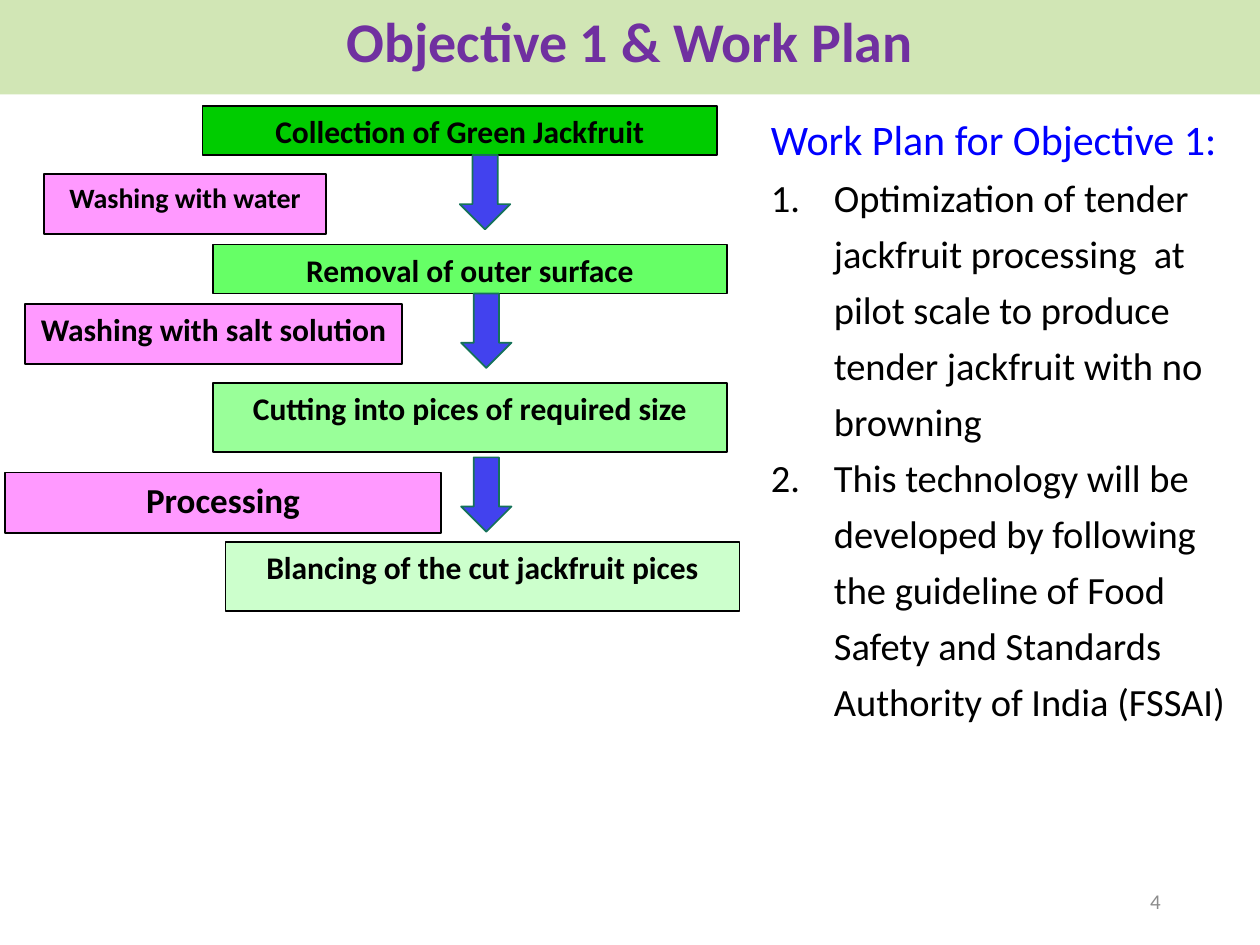
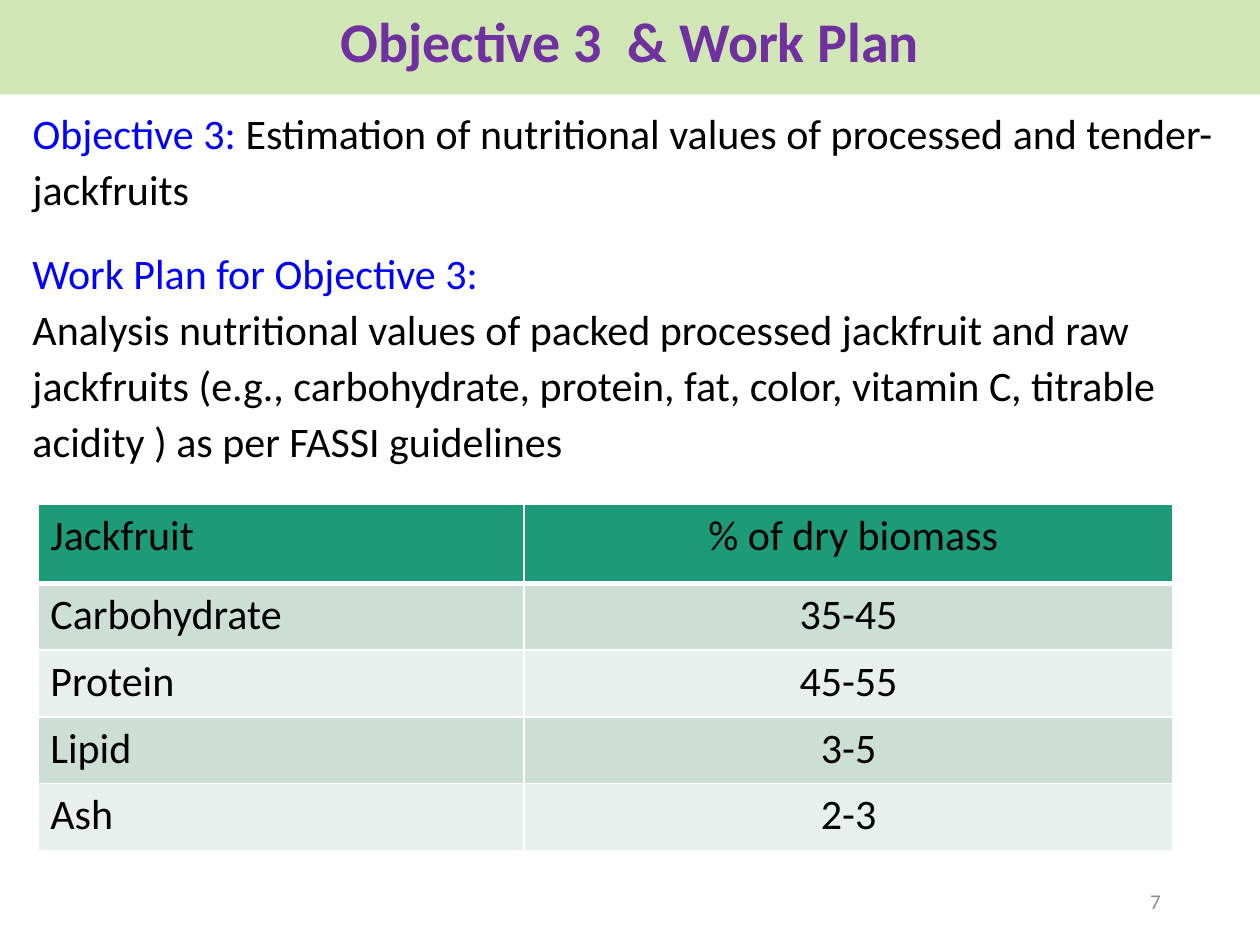
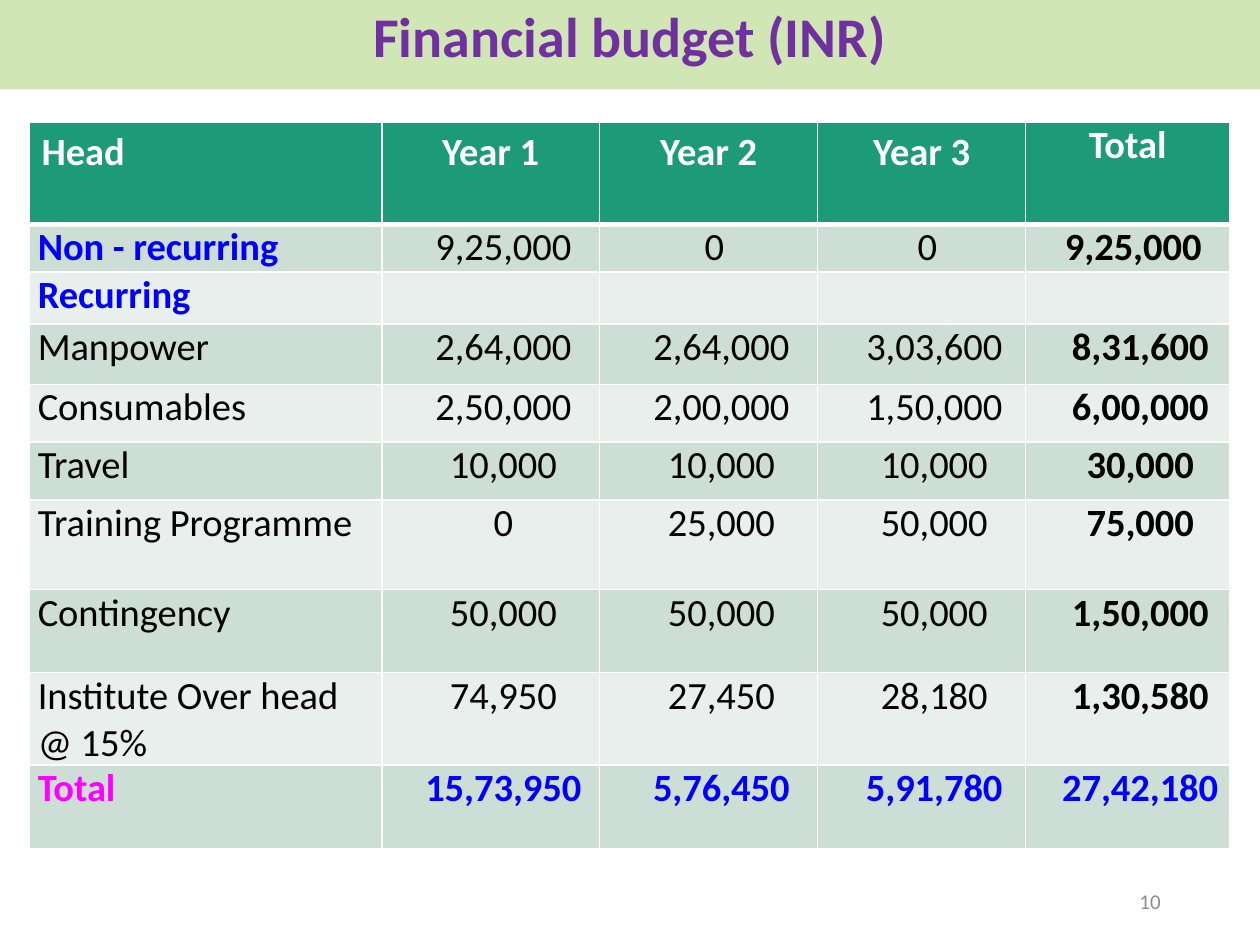
from lxml import etree
from pptx import Presentation
from pptx import util as u
from pptx.dml.color import RGBColor
from pptx.enum import shapes, text
from pptx.oxml.ns import qn

COLORS = {
    "band": "D1E6B5", "title": "7030A0", "number": "8C8C8C", "ink": "000000",
    "blue": "0000FF", "magenta": "FF00FF", "white": "FFFFFF",
    "arrow": "4242EE", "arrow_edge": "157259", "wash": "FF99FF",
    "head": "1D9A78", "odd": "CDDED6", "even": "E8EFEC",
}
FONT = "Calibri"
LEFT, CENTER, RIGHT, JUSTIFY = (
    text.PP_ALIGN.LEFT, text.PP_ALIGN.CENTER, text.PP_ALIGN.RIGHT, text.PP_ALIGN.JUSTIFY)

# Content: flow chart steps as (text, left, top, height, fill)
STEP_WIDTH = 4.08
STEPS = [
    ("Collection of Green Jackfruit", 1.61, 0.84, 0.39, "00CC00"),
    ("Removal of outer surface", 1.69, 1.94, 0.39, "66FF66"),
    ("Cutting into pices of required size", 1.69, 3.04, 0.55, "99FF99"),
    ("Blancing of the cut jackfruit pices", 1.79, 4.3, 0.55, "CCFFCC"),
]
# Side treatments as (text, left, top, width, size)
TREATMENTS = [
    ("Washing with water", 0.35, 1.38, 2.24, 16),
    ("Washing with salt solution", 0.2, 2.41, 2.99, 18),
    ("Processing", 0.04, 3.75, 3.46, 20),
]
ARROWS = [(3.65, 1.23), (3.66, 2.33), (3.66, 3.63)]
PLAN_1 = [
    "Optimization of tender jackfruit processing  at pilot scale to produce "
    "tender jackfruit with no browning",
    "This technology will be developed by following the guideline of Food Safety "
    "and Standards Authority of India (FSSAI)",
]
OBJECTIVE_3 = ("Estimation of nutritional values of processed and "
               "tender-jackfruits")
PLAN_3 = ("Analysis nutritional values of packed processed jackfruit and raw "
          "jackfruits (e.g., carbohydrate, protein, fat, color, vitamin C, "
          "titrable acidity ) as per FASSI guidelines")
NUTRITION = [
    ("Jackfruit", " % of dry biomass"),
    ("Carbohydrate", "35-45"),
    ("Protein", "45-55"),
    ("Lipid", "3-5"),
    ("Ash", "2-3"),
]
BUDGET = [
    ("Head", "Year 1", "Year 2", "Year 3", "Total"),
    ("Non - recurring", "9,25,000", "0", "0", "9,25,000"),
    ("Recurring", "", "", "", ""),
    ("Manpower", "2,64,000", "2,64,000", "3,03,600", "8,31,600"),
    ("Consumables", "2,50,000", "2,00,000", "1,50,000", "6,00,000"),
    ("Travel", "10,000", "10,000", "10,000", "30,000"),
    ("Training Programme", "0", "25,000", "50,000", "75,000"),
    ("Contingency", "50,000", "50,000", "50,000", "1,50,000"),
    ("Institute Over head @ 15%", "74,950", "27,450", "28,180", "1,30,580"),
    ("Total", "15,73,950", "5,76,450", "5,91,780", "27,42,180"),
]
BUDGET_ROWS = [0.81, 0.38, 0.41, 0.48, 0.46, 0.46, 0.71, 0.66, 0.71, 0.66]


def rgb(color):
    return RGBColor.from_string(COLORS.get(color, color))


def inches(*lengths):
    return [u.Inches(length) for length in lengths]


def write(frame, words, size=18, color="ink", bold=False, align=LEFT, spacing=None,
          after=0, indent=0, numbered=False, same_line=False):
    """Add words to the last paragraph if it is empty or same_line, else to a new one."""
    para = frame.paragraphs[-1]
    if para.runs and not same_line:
        para = frame.add_paragraph()
    para.alignment = align
    para.space_after = u.Pt(after)
    if spacing:
        para.line_spacing = spacing
    if indent:
        props = para._p.get_or_add_pPr()
        props.set("marL", str(u.Inches(indent)))
        props.set("indent", str(u.Inches(-indent if numbered else 0)))
        if numbered:
            etree.SubElement(props, qn("a:buAutoNum"), type="arabicPeriod")
    span = para.add_run()
    span.text = words
    span.font.name, span.font.size, span.font.bold = FONT, u.Pt(size), bold
    span.font.color.rgb = rgb(color)


def add_text(page, *place):
    frame = page.shapes.add_textbox(*inches(*place)).text_frame
    frame.word_wrap = True
    return frame


def add_block(page, kind, place, fill, edge="ink", width=1):
    block = page.shapes.add_shape(kind, *inches(*place))
    block.shadow.inherit = False
    block.fill.solid()
    block.fill.fore_color.rgb = rgb(fill)
    block.line.color.rgb = rgb(edge)
    block.line.width = u.Pt(width)
    return block


def add_step(page, words, place, fill, size=18, width=1):
    frame = add_block(page, shapes.MSO_SHAPE.RECTANGLE, place, fill, width=width).text_frame
    frame.word_wrap = True
    frame.vertical_anchor = text.MSO_ANCHOR.TOP
    write(frame, words, size=size, bold=True, align=CENTER, after=10)


def add_page(deck, title, number, band_height=0.75):
    """Start a slide with its title band and page number."""
    page = deck.slides.add_slide(deck.slide_layouts[5])
    band = page.shapes.title
    band.left, band.top, band.width, band.height = inches(0, 0, 10, band_height)
    band.fill.solid()
    band.fill.fore_color.rgb = rgb("band")
    frame = band.text_frame
    frame.auto_size = text.MSO_AUTO_SIZE.NONE
    frame.vertical_anchor = text.MSO_ANCHOR.TOP
    frame.margin_top = u.Inches(band_height - 0.64)
    write(frame, title, size=32, color="title", bold=True, align=CENTER, spacing=0.9)

    footer = add_text(page, 7.06, 6.95, 2.25, 0.4)
    footer.vertical_anchor = text.MSO_ANCHOR.MIDDLE
    write(footer, str(number), size=12, color="number", align=RIGHT)
    return page


def set_borders(cell, top, bottom):
    props = cell._tc.get_or_add_tcPr()
    for side, points in (("L", 1), ("R", 1), ("T", top), ("B", bottom)):
        line = etree.SubElement(props, qn("a:ln" + side), w=str(u.Pt(points)))
        fill = etree.SubElement(line, qn("a:solidFill"))
        etree.SubElement(fill, qn("a:srgbClr"), val=COLORS["white"])


def add_grid(page, left, top, widths, heights, rows, style):
    """Add a banded table; style(row, column) gives the text format of a cell."""
    place = inches(left, top, sum(widths), sum(heights))
    table = page.shapes.add_table(len(rows), len(widths), *place).table
    for column, width in zip(table.columns, widths):
        column.width = u.Inches(width)
    for r, (row, height) in enumerate(zip(rows, heights)):
        table.rows[r].height = u.Inches(height)
        for c, words in enumerate(row):
            cell = table.cell(r, c)
            set_borders(cell, 3 if r == 1 else 1, 3 if r == 0 else 1)
            cell.fill.solid()
            cell.fill.fore_color.rgb = rgb("head" if r == 0 else "odd" if r % 2 else "even")
            if words:
                write(cell.text_frame, words, **style(r, c))
    return table


def nutrition_style(r, c):
    return {"size": 24, "align": CENTER if c else LEFT}


def budget_style(r, c):
    last_row, last_column = len(BUDGET) - 1, len(BUDGET[0]) - 1
    style = {"size": 22, "align": CENTER if c else LEFT}
    if r == 0:
        return {**style, "color": "white", "bold": True}
    style["bold"] = r == last_row or c == last_column or (c == 0 and r < 3)
    if c:
        style["indent"] = 0.09 if r == 1 and c > 1 else 0.2
        style["color"] = "blue" if r == last_row else "ink"
        style["after"] = 10 if c == last_column and r > 1 else 0
    elif r == last_row:
        style.update(color="magenta", align=JUSTIFY)
    elif r < 3:
        style["color"] = "blue"
    return style


def main():
    deck = Presentation()
    deck.slide_width, deck.slide_height = inches(10, 7.5)
    body = {"size": 24, "spacing": u.Pt(32)}

    # Objective 1: work plan and flow chart
    page = add_page(deck, "Objective 1 & Work Plan", 4)
    frame = add_text(page, 6.02, 0.81, 3.88, 5.01)
    write(frame, "Work Plan for Objective 1:", color="blue", **body)
    for item in PLAN_1:
        write(frame, item, size=22, spacing=u.Pt(32), indent=0.5, numbered=True)
    for i, (words, left, top, height, fill) in enumerate(STEPS):
        add_step(page, words, (left, top, STEP_WIDTH, height), fill, width=1 if i else 0.75)
    for words, left, top, width, size in TREATMENTS:
        add_step(page, words, (left, top, width, 0.48), "wash", size=size)
    for left, top in ARROWS:
        add_block(page, shapes.MSO_SHAPE.DOWN_ARROW, (left, top, 0.4, 0.59),
                  "arrow", "arrow_edge")

    # Objective 3: work plan and nutrition table
    page = add_page(deck, "Objective 3  & Work Plan", 7)
    frame = add_text(page, 0.16, 0.76, 9.69, 1.42)
    write(frame, "Objective 3: ", color="blue", **body)
    write(frame, OBJECTIVE_3, same_line=True, **body)
    frame = add_text(page, 0.16, 1.87, 9.77, 1.87)
    write(frame, "Work Plan for Objective 3:", color="blue", **body)
    write(frame, PLAN_3, **body)
    add_grid(page, 0.3, 4, [3.86, 5.15], [0.63] + [0.53] * 4, NUTRITION, nutrition_style)

    # Budget
    page = add_page(deck, "Financial budget (INR)", 10, band_height=0.71)
    table = add_grid(page, 0.23, 0.97, [2.8, 1.73, 1.73, 1.65, 1.62], BUDGET_ROWS,
                     BUDGET, budget_style)
    for r, row in enumerate(BUDGET):
        for c, words in enumerate(row):
            if words and (r > 0 or c == len(row) - 1):
                cell = table.cell(r, c)
                cell.margin_left = cell.margin_right = u.Inches(0.07)
                cell.margin_top = cell.margin_bottom = 0

    deck.save("out.pptx")


if __name__ == "__main__":
    main()
